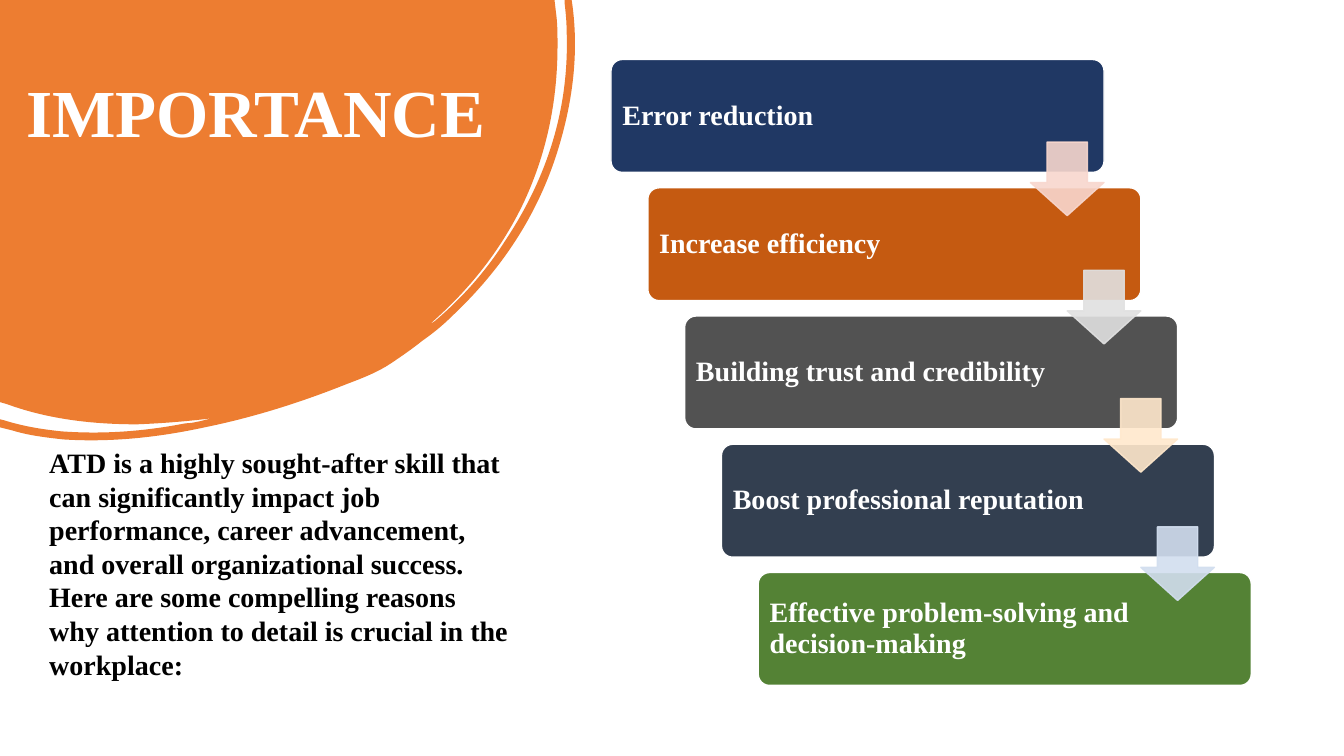
from lxml import etree
from pptx import Presentation
from pptx.dml.color import RGBColor
from pptx.enum.shapes import MSO_SHAPE as Shape
from pptx.enum.text import MSO_ANCHOR as Anchor, PP_ALIGN as Align
from pptx.oxml.ns import qn
from pptx.util import Inches, Pt

FONT = "Times New Roman"
COLORS = {
    "white": "FFFFFF", "black": "000000", "orange": "ED7D31",
    "navy": "203864", "rust": "C55A11", "gray": "525252",
    "slate": "333F50", "green": "548235",
    "pink": "F8D7CE", "silver": "E1E1E1", "cream": "FFE8CC", "ice": "D2DEEF",
}
# Each reason, its card colour and the colour of the arrow to the next card
REASONS = [
    ("Error reduction", "navy", "pink"),
    ("Increase efficiency", "rust", "silver"),
    ("Building trust and credibility", "gray", "cream"),
    ("Boost professional reputation", "slate", "ice"),
    ("Effective problem-solving and decision-making", "green", None),
]
INTRO = (
    "ATD is a highly sought-after skill that can significantly impact job "
    "performance, career advancement, and overall organizational success. "
    "Here are some compelling reasons why attention to detail is crucial in "
    "the workplace:"
)
# Outline of the blob: pairs are corners, sixes are Bezier curves
BLOB_SIZE = (5.71, 4.37)
BLOB = [
    (0, 0), (5.5, 0), (5.52, 0.17),
    (5.53, 0.26, 5.53, 0.36, 5.53, 0.45), (5.53, 1.01, 5.42, 1.54, 5.18, 2.04),
    (4.96, 2.49, 4.65, 2.88, 4.27, 3.21), (4.29, 3.21, 4.3, 3.19, 4.32, 3.18),
    (4.59, 2.95, 4.82, 2.69, 5.01, 2.39), (5.43, 1.76, 5.65, 1.07, 5.62, 0.3),
    (5.62, 0.21, 5.61, 0.12, 5.6, 0.03), (5.6, 0), (5.67, 0), (5.68, 0.07),
    (5.74, 0.54, 5.68, 1.02, 5.53, 1.5), (5.33, 2.14, 4.97, 2.68, 4.48, 3.14),
    (4.39, 3.23, 4.29, 3.31, 4.19, 3.38), (4.09, 3.46, 3.99, 3.53, 3.87, 3.61),
    (3.75, 3.69, 3.6, 3.75, 3.44, 3.81), (2.99, 3.99, 2.52, 4.14, 2.03, 4.24),
    (1.57, 4.34, 1.1, 4.39, 0.63, 4.36), (0.45, 4.34, 0.28, 4.32, 0.12, 4.27),
    (0, 4.24), (0, 4.16), (0.04, 4.17),
    (0.23, 4.23, 0.42, 4.26, 0.61, 4.28), (1.03, 4.31, 1.43, 4.28, 1.84, 4.2),
    (1.89, 4.2, 1.93, 4.19, 1.98, 4.18), (2.02, 4.17, 2.06, 4.16, 2.1, 4.15),
    (1.86, 4.18, 1.61, 4.2, 1.36, 4.21), (0.92, 4.21, 0.48, 4.16, 0.07, 4.01),
    (0, 3.99),
]


def color(name):
    return RGBColor.from_string(COLORS[name])


def paint(shape, fill, line=None):
    shape.shadow.inherit = False
    shape.fill.solid()
    shape.fill.fore_color.rgb = color(fill)
    if line:
        shape.line.color.rgb = color(line)
        shape.line.width = Pt(1)
    else:
        shape.line.fill.background()


def write(shape, text, size, ink, spacing=1.0):
    frame = shape.text_frame
    frame.word_wrap = True
    frame.text = text
    para = frame.paragraphs[0]
    para.alignment = Align.LEFT
    para.line_spacing = spacing
    font = para.runs[0].font
    font.name, font.size, font.bold = FONT, Pt(size), True
    font.color.rgb = color(ink)


def add_text(page, box, text, size, ink, spacing=1.0):
    write(page.shapes.add_textbox(*map(Inches, box)), text, size, ink, spacing)


def add_blob(page, left, top):
    """Freeform through the end points, with its curved sides made Beziers."""
    points = [(Inches(left + part[-2]), Inches(top + part[-1])) for part in BLOB]
    builder = page.shapes.build_freeform(*points[0])
    builder.add_line_segments(points[1:], close=True)
    blob = builder.convert_to_shape()
    blob.width, blob.height = map(Inches, BLOB_SIZE)
    outline = next(blob._element.iter(qn("a:path")))
    outline.set("w", str(blob.width))
    outline.set("h", str(blob.height))
    for side, part in zip(list(outline.iter(qn("a:lnTo"))), BLOB[1:]):
        if len(part) == 6:
            side.tag = qn("a:cubicBezTo")
            for i in (0, 1):
                x, y = part[2 * i:2 * i + 2]
                handle = etree.Element(qn("a:pt"), x=str(Inches(x)), y=str(Inches(y)))
                side.insert(i, handle)
    paint(blob, "orange")


def add_header(page, left, top):
    """Orange blob with the slide title on it."""
    add_blob(page, left, top)
    add_text(page, (left + 0.16, top + 0.74, 4.81, 2.22), "IMPORTANCE", 48, "white", 0.9)


def add_card(page, left, top, width, height, text, fill):
    card = page.shapes.add_shape(Shape.ROUNDED_RECTANGLE, *map(Inches, (left, top, width, height)))
    card.adjustments[0] = 0.1
    paint(card, fill, "white")
    write(card, text, 20, "white", 0.9)
    frame = card.text_frame
    frame.vertical_anchor = Anchor.MIDDLE
    frame.margin_left = frame.margin_top = frame.margin_bottom = Inches(0.08)
    frame.margin_right = Inches(1.16)


def add_arrow(page, left, top, size, fill):
    arrow = page.shapes.add_shape(Shape.DOWN_ARROW, *map(Inches, (left, top, size, size)))
    arrow.adjustments[0], arrow.adjustments[1] = 0.55, 0.45
    paint(arrow, fill, fill)
    # 90 % opacity for both fill and line
    for tint in arrow._element.spPr.iter(qn("a:srgbClr")):
        etree.SubElement(tint, qn("a:alpha")).set("val", "90000")


def add_staircase(page, left, top, width, height):
    """Cards stepping down to the right, then the arrows between them."""
    card_width, card_height = 4.89, 1.12
    gaps = len(REASONS) - 1
    step_x, step_y = (width - card_width) / gaps, (height - card_height) / gaps
    corners = [(left + i * step_x, top + i * step_y) for i in range(len(REASONS))]
    for (x, y), (text, fill, _) in zip(corners, REASONS):
        add_card(page, x, y, card_width, card_height, text, fill)
    for (x, y), (_, _, tint) in zip(corners, REASONS):
        if tint:
            add_arrow(page, x + 4.16, y + 0.82, 0.73, tint)


def main():
    deck = Presentation()
    deck.slide_width, deck.slide_height = Inches(13.33), Inches(7.5)
    page = deck.slides.add_slide(deck.slide_layouts[6])
    add_header(page, 0, 0)
    add_staircase(page, 6.06, 0.59, 6.35, 6.21)
    add_text(page, (0.39, 4.37, 4.76, 2.45), INTRO, 20, "black")
    deck.save("out.pptx")


if __name__ == "__main__":
    main()
